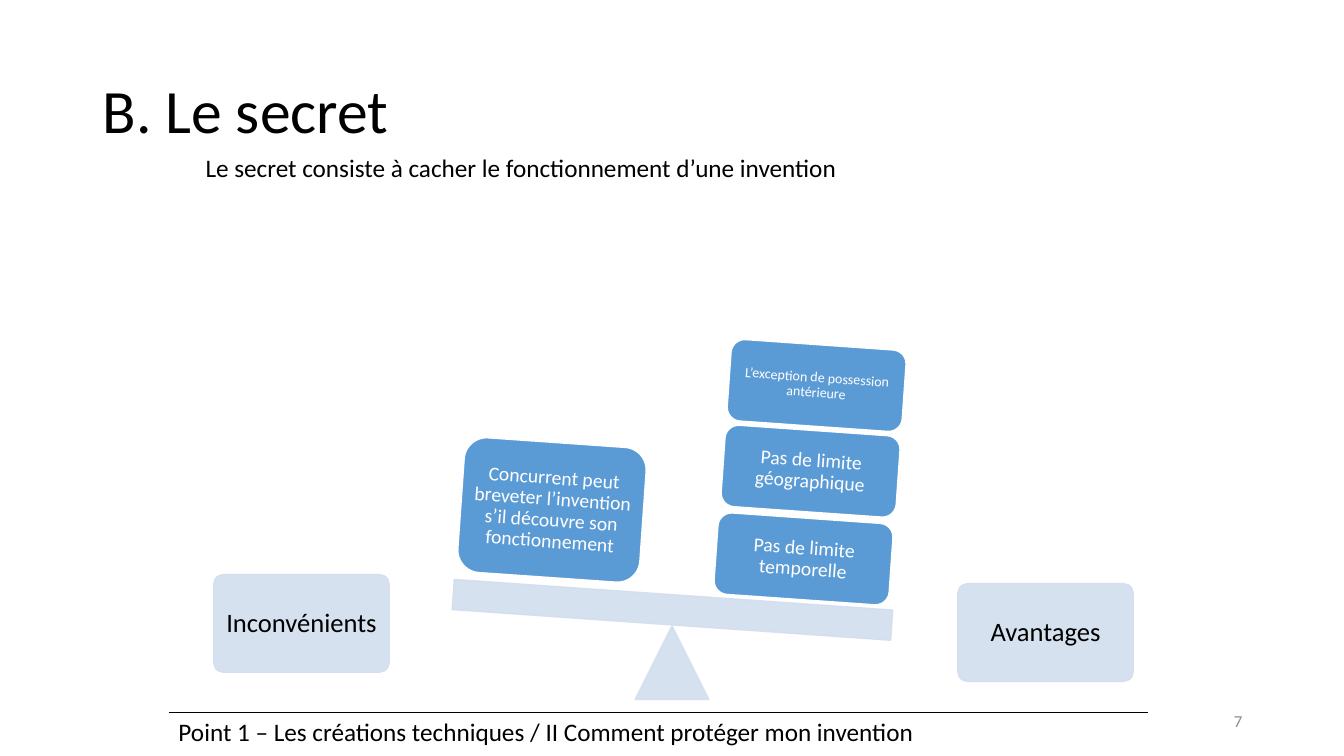
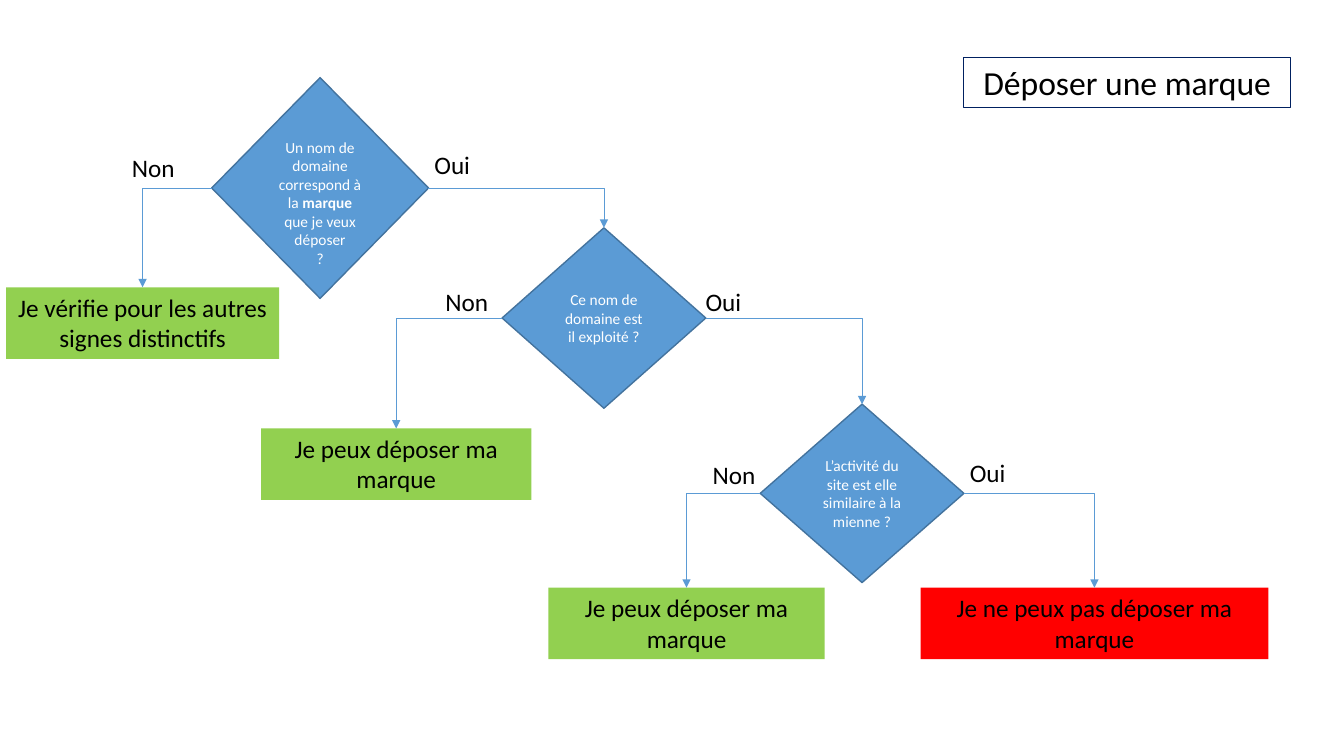
import pptx
import pptx.dml.color
import pptx.enum.dml
import pptx.enum.shapes
import pptx.enum.text
import pptx.oxml
import pptx.oxml.ns
import pptx.util
from lxml import etree

Inches = pptx.util.Inches
Pt = pptx.util.Pt
RGBColor = pptx.dml.color.RGBColor
SHAPE = pptx.enum.shapes.MSO_SHAPE
ANCHOR = pptx.enum.text.MSO_ANCHOR
ALIGN = pptx.enum.text.PP_ALIGN
qn = pptx.oxml.ns.qn

FONT = "Calibri"
BLACK = RGBColor(0x00, 0x00, 0x00)
WHITE = RGBColor(0xFF, 0xFF, 0xFF)
GREY = RGBColor(0x8C, 0x8C, 0x8C)
BLUE = RGBColor(0x5B, 0x9B, 0xD5)
EDGE_BLUE = RGBColor(0x43, 0x73, 0x9E)
PALE_BLUE = RGBColor(0xD2, 0xDE, 0xEF)
NAVY = RGBColor(0x00, 0x20, 0x60)
GREEN = RGBColor(0x92, 0xD0, 0x50)
RED = RGBColor(0xFF, 0x00, 0x00)

# ---- Content: places are (left, top, width, height) in inches ----
SECRET_TITLE = "B. Le secret"
SECRET_DEFINITION = "Le secret consiste à cacher le fonctionnement d’une invention"
SECTION_FOOTER = "Point 1 – Les créations techniques / II Comment protéger mon invention"
PAGE_NUMBER = "7"
FOOTER_BORDERS = {"L": ("FFFFFF", 1), "R": ("FFFFFF", 1),
                  "T": ("000000", 1), "B": ("FFFFFF", 3)}

TILT = 4
BALANCE_SIDES = [
    ("Inconvénients", (2.12, 5.7, 1.74, 0.97)),
    ("Avantages", (9.5, 5.79, 1.74, 0.97)),
]
BALANCE_PARTS = [
    (SHAPE.ISOSCELES_TRIANGLE, (6.3, 6.21, 0.73, 0.73), 0),
    (SHAPE.RECTANGLE, (4.49, 5.9, 4.36, 0.3), TILT),
]
WEIGHTS = [
    ("Pas de limite temporelle", (7.1, 5.14, 1.74, 0.81), 14, 0.06),
    ("Pas de limite géographique", (7.17, 4.27, 1.74, 0.81), 14, 0.06),
    ("L’exception de possession antérieure", (7.23, 3.42, 1.74, 0.81), 10, 0.04),
    ("Concurrent peut breveter l’invention s’il découvre son fonctionnement",
     (4.57, 4.39, 1.81, 1.34), 14, 0.06),
]

TRADEMARK_TITLE = "Déposer une marque"
QUESTIONS = {
    "domain": ([[("Un nom de domaine correspond à la ", False), ("marque", True),
                 (" que je veux déposer", False)], [("?", False)]],
               (2.1, 0.77, 2.15, 2.19), ANCHOR.TOP),
    "used": ("Ce nom de domaine est il exploité ?",
             (4.98, 2.26, 2.02, 1.79), ANCHOR.MIDDLE),
    "similar": ("L’activité du site est elle similaire à la mienne ?",
                (7.54, 4.01, 2.02, 1.77), ANCHOR.MIDDLE),
}
OUTCOMES = {
    "check others": ("Je vérifie pour les autres signes distinctifs",
                     (0.06, 2.85, 2.71, 0.71), GREEN),
    "free if unused": ("Je peux déposer ma marque", (2.59, 4.25, 2.68, 0.71), GREEN),
    "free if different": ("Je peux déposer ma marque", (5.44, 5.83, 2.74, 0.71), GREEN),
    "refused": ("Je ne peux pas déposer ma marque", (9.13, 5.83, 3.45, 0.71), RED),
}
# question, answer, next step, left and top of the answer
BRANCHES = [
    ("domain", "Non", "check others", (1.21, 1.46)),
    ("domain", "Oui", "used", (4.21, 1.43)),
    ("used", "Non", "free if unused", (4.32, 2.79)),
    ("used", "Oui", "similar", (6.9, 2.79)),
    ("similar", "Non", "free if different", (6.97, 4.51)),
    ("similar", "Oui", "refused", (9.52, 4.49)),
]
ANSWER_WIDTH = {"Non": 0.76, "Oui": 0.6}
ANSWER_SITE = {"Non": 1, "Oui": 3}  # left and right corners of a diamond
TOP_SITE = 0


def set_all(target, values):
    """Set each named format value on the target."""
    for name, value in values.items():
        setattr(target, name, value)


def write(frame, text, size, color=BLACK, align=ALIGN.LEFT, anchor=ANCHOR.TOP,
          spacing=1.0, inset=None):
    """Write a string, or paragraphs of (text, bold) runs, in a text frame."""
    set_all(frame, {"word_wrap": True, "vertical_anchor": anchor})
    if inset is not None:
        sides = ("left", "top", "right", "bottom")
        set_all(frame, {f"margin_{side}": Inches(inset) for side in sides})
    paragraphs = [[(text, False)]] if isinstance(text, str) else text
    for index, runs in enumerate(paragraphs):
        paragraph = frame.add_paragraph() if index else frame.paragraphs[0]
        set_all(paragraph, {"alignment": align, "line_spacing": spacing})
        for words, bold in runs:
            run = paragraph.add_run()
            run.text = words
            set_all(run.font, {"name": FONT, "size": Pt(size), "bold": bold})
            run.font.color.rgb = color


def add_text(slide, place, text, size, **style):
    """Add a text box."""
    box = slide.shapes.add_textbox(*map(Inches, place))
    write(box.text_frame, text, size, **style)


def add_block(slide, kind, place, fill=None, line=None, width=1, tilt=0):
    """Add a preset shape with its fill, outline and rotation."""
    block = slide.shapes.add_shape(kind, *map(Inches, place))
    block.shadow.inherit = False
    block.rotation = tilt
    for paint, color in ((block.fill, fill), (block.line.fill, line)):
        if color is None:
            paint.background()
        else:
            paint.solid()
            paint.fore_color.rgb = color
    if line is not None:
        block.line.width = Pt(width)
    return block


def add_pale_block(slide, kind, place, tilt=0):
    """Add a slightly transparent part of the balance."""
    block = add_block(slide, kind, place, PALE_BLUE, PALE_BLUE, tilt=tilt)
    for color in block.element.spPr.iter(qn("a:srgbClr")):
        etree.SubElement(color, qn("a:alpha"), val="90000")
    return block


def add_branch(slide, question, site, step):
    """Link a corner of a question to the top of the next step."""
    branch = slide.shapes.add_connector(
        pptx.enum.shapes.MSO_CONNECTOR.ELBOW, 0, 0, 0, 0)
    branch.begin_connect(question, site)
    branch.end_connect(step, TOP_SITE)
    branch.line.width = Pt(0.5)
    branch.line.color.rgb = BLUE
    properties = branch.element.spPr
    properties.find(qn("a:prstGeom")).set("prst", "bentConnector2")
    etree.SubElement(properties.find(qn("a:ln")), qn("a:tailEnd"), type="triangle")
    etree.SubElement(properties, qn("a:effectLst"))


def add_section_footer(slide):
    """Add the one-cell table that carries the section name."""
    place = map(Inches, (1.67, 7.07, 9.72, 0.41))
    table = slide.shapes.add_table(1, 1, *place).table
    set_all(table, {"first_row": False, "horz_banding": False})
    cell = table.cell(0, 0)
    write(cell.text_frame, SECTION_FOOTER, 18)
    borders = cell._tc.get_or_add_tcPr()
    for side, (color, width) in FOOTER_BORDERS.items():
        edge = etree.SubElement(borders, qn(f"a:ln{side}"), w=str(Pt(width)))
        paint = etree.SubElement(edge, qn("a:solidFill"))
        etree.SubElement(paint, qn("a:srgbClr"), val=color)
    cell.fill.background()


def build_secret(slide):
    """Weigh the drawbacks and advantages of secrecy."""
    centred = {"align": ALIGN.CENTER, "anchor": ANCHOR.MIDDLE, "spacing": 0.9}
    add_text(slide, (0.92, 0.4, 11.5, 1.45), SECRET_TITLE, 44,
             anchor=ANCHOR.MIDDLE, spacing=0.9)
    for side, place in BALANCE_SIDES:
        block = add_pale_block(slide, SHAPE.ROUNDED_RECTANGLE, place)
        block.adjustments[0] = 0.1
        write(block.text_frame, side, 19, inset=0.08, **centred)
    for kind, place, tilt in BALANCE_PARTS:
        add_pale_block(slide, kind, place, tilt)
    for weight, place, size, inset in WEIGHTS:
        block = add_block(slide, SHAPE.ROUNDED_RECTANGLE, place, BLUE, WHITE, tilt=TILT)
        write(block.text_frame, weight, size, WHITE, inset=inset, **centred)
    add_text(slide, (1.94, 1.46, 9.53, 0.4), SECRET_DEFINITION, 18)
    add_text(slide, (9.42, 6.95, 3, 0.4), PAGE_NUMBER, 12, color=GREY,
             align=ALIGN.RIGHT, anchor=ANCHOR.MIDDLE)
    add_section_footer(slide)


def build_trademark(slide):
    """Draw the decision tree for filing a trademark."""
    steps = {}
    for key, (question, place, anchor) in QUESTIONS.items():
        steps[key] = add_block(slide, SHAPE.DIAMOND, place, BLUE, EDGE_BLUE)
        write(steps[key].text_frame, question, 11, WHITE, ALIGN.CENTER, anchor)
    for key, (outcome, place, color) in OUTCOMES.items():
        steps[key] = add_block(slide, SHAPE.RECTANGLE, place, color)
        write(steps[key].text_frame, outcome, 18, align=ALIGN.CENTER)
    for question, answer, step, corner in BRANCHES:
        add_branch(slide, steps[question], ANSWER_SITE[answer], steps[step])
        add_text(slide, (*corner, ANSWER_WIDTH[answer], 0.4), answer, 18)
    heading = add_block(slide, SHAPE.RECTANGLE, (9.56, 0.57, 3.24, 0.5),
                        line=NAVY, width=0.75)
    write(heading.text_frame, TRADEMARK_TITLE, 24, align=ALIGN.CENTER)


deck = pptx.Presentation()
set_all(deck, {"slide_width": Inches(13.33), "slide_height": Inches(7.5)})
for build in (build_secret, build_trademark):
    build(deck.slides.add_slide(deck.slide_layouts[6]))
deck.save("out.pptx")
